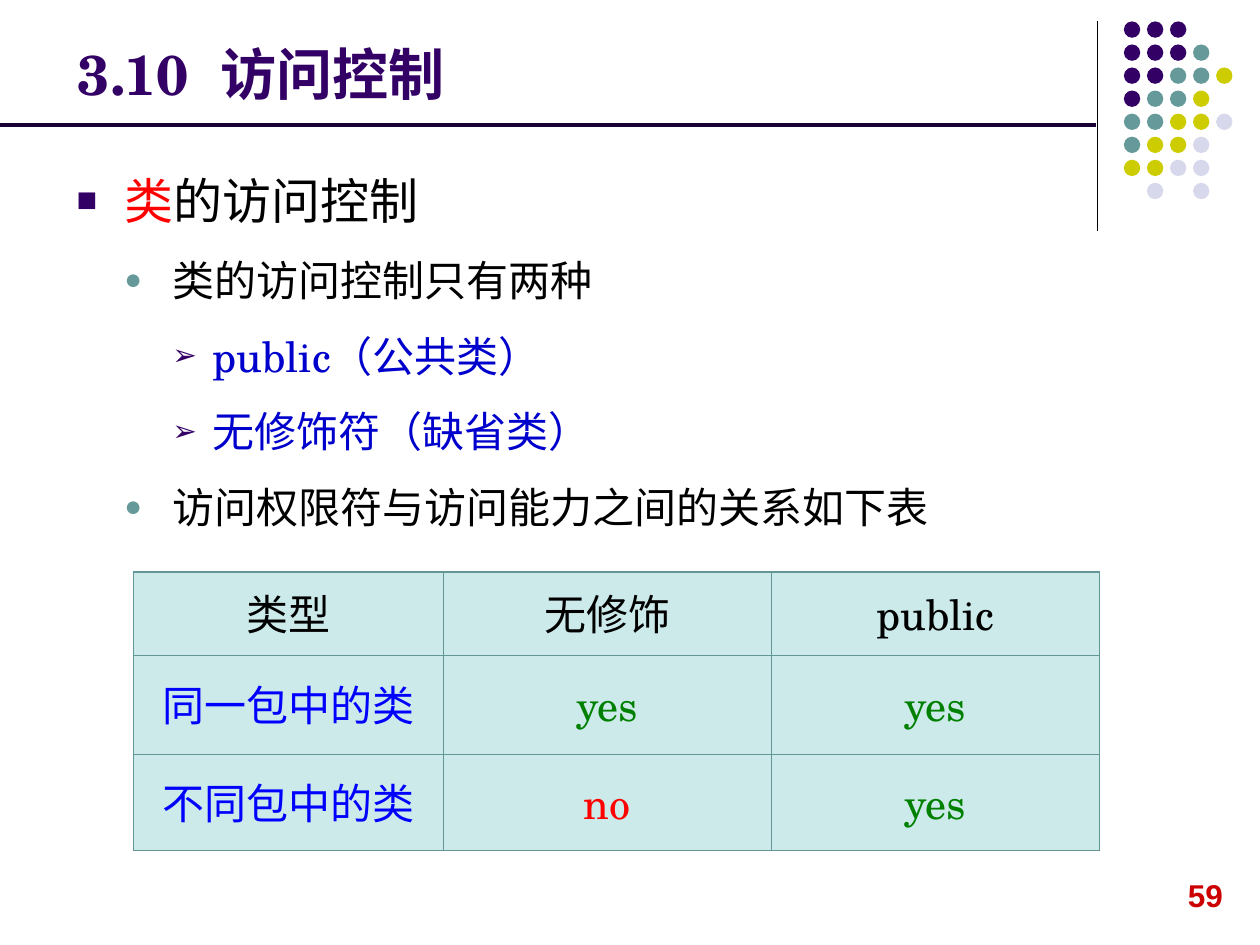
from lxml import etree
from pptx import Presentation
from pptx.dml.color import RGBColor
from pptx.enum.shapes import MSO_CONNECTOR, MSO_SHAPE
from pptx.enum.text import MSO_ANCHOR, PP_ALIGN
from pptx.oxml.ns import qn
from pptx.util import Inches, Pt

STRAIGHT, OVAL = MSO_CONNECTOR.STRAIGHT, MSO_SHAPE.OVAL
TOP, MIDDLE, BOTTOM = MSO_ANCHOR.TOP, MSO_ANCHOR.MIDDLE, MSO_ANCHOR.BOTTOM
CENTER = PP_ALIGN.CENTER

SERIF = "TeX Gyre Schola"
PURPLE, TEAL, BLACK, RED = "330066", "669999", "000000", "FF0000"
BLUE, NAVY, GREEN = "0000FF", "0000CC", "008000"
CELL_FILL, CELL_BORDER = "CCEAEA", "639797"

TITLE = ("3.10", "访问控制")
PAGE = "59"
# level, runs of (text, colour)
BODY = [
    (0, [("类", RED), ("的访问控制", BLACK)]),
    (1, [("类的访问控制只有两种", BLACK)]),
    (2, [("public（公共类）", NAVY)]),
    (2, [("无修饰符（缺省类）", NAVY)]),
    (1, [("访问权限符与访问能力之间的关系如下表", BLACK)]),
]
# bullet, bullet colour, left margin, hanging indent, text size
LEVELS = [("■", PURPLE, 0.38, 0.38, 28),
          ("●", TEAL, 0.76, 0.38, 24),
          ("➢", PURPLE, 1.08, 0.32, 24)]
TABLE = [["类型", "无修饰", "public"],
         ["同一包中的类", "yes", "yes"],
         ["不同包中的类", "no", "yes"]]
ANSWER_COLORS = {"yes": GREEN, "no": RED}
COL_WIDTHS, ROW_HEIGHTS = [2.46, 2.6, 2.61], [0.66, 0.79, 0.76]
# one letter per dot of the corner ornament
DOTS = ["PPP", "PPPT", "PPTTY", "PTTY", "TTYYL", "TYYL", "YYLL", ".L.L"]
DOT_COLORS = {"P": PURPLE, "T": TEAL, "Y": "CCCC00", "L": "D8D8EC"}
DOT_LEFT, DOT_TOP, DOT_STEP, DOT_SIZE = 8.92, 0.17, 0.183, 0.13


def rgb(color):
    return RGBColor.from_string(color)


def add_run(p, text, size, color, font=SERIF, bold=False):
    r = p.add_run()
    r.text = text
    r.font.size, r.font.bold, r.font.name = Pt(size), bold, font
    r.font.color.rgb = rgb(color)
    etree.SubElement(r.font._element, qn("a:ea"), typeface=font)
    return r


def add_text_box(s, left, top, width, height, anchor=TOP, wrap=True):
    box = s.shapes.add_textbox(*map(Inches, (left, top, width, height)))
    tf = box.text_frame
    tf.word_wrap, tf.vertical_anchor = wrap, anchor
    return tf


def add_line(s, x1, y1, x2, y2, color, width):
    line = s.shapes.add_connector(STRAIGHT, *map(Inches, (x1, y1, x2, y2)))
    line.line.color.rgb = rgb(color)
    line.line.width = Pt(width)
    etree.SubElement(line._element.spPr, qn("a:effectLst"))


def set_bullet(p, char, color, margin, hanging):
    pPr = p._p.get_or_add_pPr()
    pPr.set("marL", str(Inches(margin)))
    pPr.set("indent", str(-Inches(hanging)))
    bu = etree.SubElement(pPr, qn("a:buClr"))
    etree.SubElement(bu, qn("a:srgbClr"), val=color)
    etree.SubElement(pPr, qn("a:buSzPct"), val="70000")
    etree.SubElement(pPr, qn("a:buFont"), typeface="Arial")
    etree.SubElement(pPr, qn("a:buChar"), char=char)


def set_borders(cell):
    tcPr = cell._tc.get_or_add_tcPr()
    for i, side in enumerate(("lnL", "lnR", "lnT", "lnB")):
        ln = etree.Element(qn("a:" + side), w=str(Pt(0.75)))
        fill = etree.SubElement(ln, qn("a:solidFill"))
        etree.SubElement(fill, qn("a:srgbClr"), val=CELL_BORDER)
        tcPr.insert(i, ln)


prs = Presentation()
prs.slide_width, prs.slide_height = Inches(10), Inches(7.5)
s = prs.slides.add_slide(prs.slide_layouts[6])

# Corner ornament
add_line(s, 8.71, 0.17, 8.71, 1.83, BLACK, 0.75)
for row, letters in enumerate(DOTS):
    for col, letter in enumerate(letters):
        if letter == ".":
            continue
        sp = s.shapes.add_shape(OVAL, Inches(DOT_LEFT + col * DOT_STEP),
                                Inches(DOT_TOP + row * DOT_STEP),
                                Inches(DOT_SIZE), Inches(DOT_SIZE))
        sp.shadow.inherit = False
        sp.fill.solid()
        sp.fill.fore_color.rgb = rgb(DOT_COLORS[letter])
        sp.line.fill.background()

# Page number
p = add_text_box(s, 9.33, 6.9, 0.48, 0.4, wrap=False).paragraphs[0]
add_run(p, PAGE, 18, "CC0000", "Arial", True)

# Title, with a widened space after the section number
p = add_text_box(s, 0.52, 0.27, 8.25, 0.63, BOTTOM).paragraphs[0]
number, heading = TITLE
add_run(p, number, 32, PURPLE, bold=True)
gap = add_run(p, " ", 32, PURPLE, bold=True)
gap.font._element.set("spc", "900")
add_run(p, heading, 32, PURPLE, bold=True)

# Bulleted body
tf = add_text_box(s, 0.51, 1.07, 9, 5.67)
for i, (level, runs) in enumerate(BODY):
    p = tf.add_paragraph() if i else tf.paragraphs[0]
    *bullet, size = LEVELS[level]
    p.level = level
    p.line_spacing = 1.5
    set_bullet(p, *bullet)
    for text, color in runs:
        add_run(p, text, size, color)

# Access table
table = s.shapes.add_table(len(TABLE), len(TABLE[0]), Inches(1.06), Inches(4.54),
                           Inches(sum(COL_WIDTHS)), Inches(sum(ROW_HEIGHTS))).table
for column, width in zip(table.columns, COL_WIDTHS):
    column.width = Inches(width)
for i, (row, height) in enumerate(zip(TABLE, ROW_HEIGHTS)):
    table.rows[i].height = Inches(height)
    for j, text in enumerate(row):
        cell = table.cell(i, j)
        cell.vertical_anchor = MIDDLE
        cell.fill.solid()
        cell.fill.fore_color.rgb = rgb(CELL_FILL)
        set_borders(cell)
        p = cell.text_frame.paragraphs[0]
        p.alignment = CENTER
        color = BLACK if i == 0 else ANSWER_COLORS.get(text, BLUE)
        add_run(p, text, 24, color)

# Rule under the title
add_line(s, 0, 0.99, 8.7, 0.99, "190033", 2.25)

prs.save("out.pptx")
